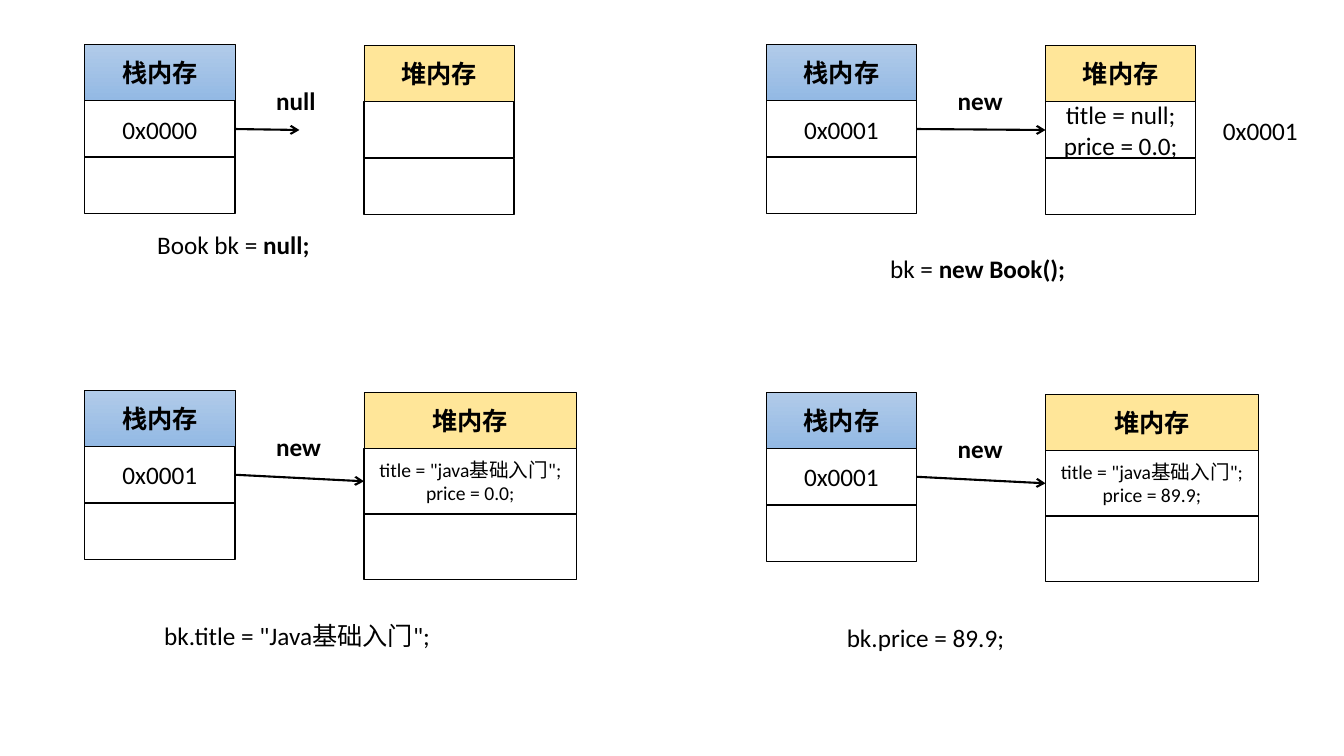
from dataclasses import dataclass

from lxml.etree import SubElement
from pptx import Presentation
from pptx.dml.color import RGBColor
from pptx.enum.shapes import MSO_CONNECTOR as Link, MSO_SHAPE as Preset
from pptx.enum.text import MSO_ANCHOR as Anchor, MSO_AUTO_SIZE as AutoSize, PP_ALIGN as Align
from pptx.oxml.ns import qn
from pptx.util import Pt

PX = 9144  # 100 px to the inch
FONT = "Calibri"
BLACK, WHITE, HEAP_YELLOW = "000000", "FFFFFF", "FFE699"
STACK_BLUES = ("B1CBE9", "93B9E4")
STACK_WIDTH, ROW_HEIGHT = 149, 56
HEAP_OFFSET = 277
LABEL_OFFSET_X, LABEL_OFFSET_Y = 180, 36
LABEL_HEIGHT = 40
NULL_ARROW_LENGTH = 64


@dataclass(frozen=True)
class Span:
    text: str
    bold: bool = False


@dataclass(frozen=True)
class Note:
    left: int
    top: int
    width: int
    spans: tuple[Span, ...]
    wrap: bool = False


@dataclass(frozen=True)
class Panel:
    left: int
    stack_top: int
    heap_top: int
    address: str
    arrow_label: str
    label_width: int = 65
    heap_width: int = STACK_WIDTH
    heap_row: int = ROW_HEIGHT
    fields: tuple[str, ...] = ()
    field_size: int = 18
    points_to_heap: bool = True


PANELS = (
    Panel(84, 44, 45, "0x0000", "null", label_width=59, points_to_heap=False),
    Panel(760, 44, 45, "0x0001", "new", fields=("title = null;", "price = 0.0;")),
    Panel(84, 387, 389, "0x0001", "new", heap_width=211, heap_row=65,
          fields=('title = "java基础入门";', "price = 0.0;"), field_size=14),
    Panel(760, 389, 391, "0x0001", "new", heap_width=211, heap_row=65,
          fields=('title = "java基础入门";', "price = 89.9;"), field_size=14),
)

NOTES = (
    Note(146, 223, 173, (Span("Book bk = "), Span("null;", True))),
    Note(873, 246, 196, (Span("bk = "), Span("new Book();", True))),
    Note(1203, 109, 95, (Span("0x0001"),)),
    Note(153, 611, 287, (Span('bk.title = "Java基础入门";'),), wrap=True),
    Note(830, 612, 178, (Span("bk.price = 89.9;"),)),
)


def rgb(value: str) -> RGBColor:
    return RGBColor.from_string(value)


def add_span(para, span: Span, size: int = 18) -> None:
    run = para.add_run()
    run.text = span.text
    run.font.name = FONT
    run.font.size = Pt(size)
    run.font.bold = span.bold
    run.font.color.rgb = rgb(BLACK)


def add_cell(slide, left: int, top: int, width: int, height: int, fill: str = WHITE,
             lines: tuple[str, ...] = (), size: int = 18):
    box = slide.shapes.add_shape(Preset.RECTANGLE, left * PX, top * PX, width * PX, height * PX)
    box.shadow.inherit = False
    box.fill.solid()
    box.fill.fore_color.rgb = rgb(fill)
    box.line.color.rgb = rgb(BLACK)
    box.line.width = Pt(1)
    frame = box.text_frame
    frame.word_wrap = True
    frame.vertical_anchor = Anchor.MIDDLE
    frame.margin_left = frame.margin_right = 5 * PX
    for index, line in enumerate(lines):
        para = frame.add_paragraph() if index else frame.paragraphs[0]
        para.alignment = Align.CENTER
        add_span(para, Span(line), size)
    return box


def add_header(slide, left: int, top: int, width: int, title: str):
    box = add_cell(slide, left, top, width, ROW_HEIGHT, HEAP_YELLOW, (title,))
    box.line.width = Pt(0.5)
    box.text_frame.paragraphs[0].runs[0].font.bold = True
    return box


def add_column(slide, left: int, top: int, width: int, row: int, title: str,
               lines: tuple[str, ...], size: int = 18):
    """Draw a header over two cells; return the header and the upper cell."""
    header = add_header(slide, left, top, width, title)
    first_top = top + ROW_HEIGHT
    first = add_cell(slide, left, first_top, width, row, lines=lines, size=size)
    add_cell(slide, left, first_top + row, width, row)
    return header, first


def shade_stack_header(header) -> None:
    header.fill.gradient()
    header.fill.gradient_angle = 270
    for stop, shade in zip(header.fill.gradient_stops, STACK_BLUES):
        stop.color.rgb = rgb(shade)


def add_arrow(slide, source, target=None) -> None:
    """Point from source to target, or to nothing when there is no target."""
    start_x = source.left + source.width
    start_y = source.top + source.height // 2
    arrow = slide.shapes.add_connector(
        Link.STRAIGHT, start_x, start_y, start_x + NULL_ARROW_LENGTH * PX, start_y + PX)
    arrow.begin_connect(source, 3)
    if target is not None:
        arrow.end_connect(target, 1)
    arrow.line.color.rgb = rgb(BLACK)
    arrow.line.width = Pt(1.5)
    SubElement(arrow.line._get_or_add_ln(), qn("a:tailEnd"), type="arrow")
    SubElement(arrow._element.spPr, qn("a:effectLst"))


def add_note(slide, note: Note) -> None:
    box = slide.shapes.add_textbox(
        note.left * PX, note.top * PX, note.width * PX, LABEL_HEIGHT * PX)
    frame = box.text_frame
    frame.word_wrap = note.wrap
    frame.auto_size = AutoSize.SHAPE_TO_FIT_TEXT
    for span in note.spans:
        add_span(frame.paragraphs[0], span)


def add_panel(slide, panel: Panel) -> None:
    stack_header, reference = add_column(
        slide, panel.left, panel.stack_top, STACK_WIDTH, ROW_HEIGHT, "栈内存", (panel.address,))
    shade_stack_header(stack_header)
    _, book = add_column(
        slide, panel.left + HEAP_OFFSET, panel.heap_top, panel.heap_width, panel.heap_row,
        "堆内存", panel.fields, panel.field_size)
    add_arrow(slide, reference, book if panel.points_to_heap else None)
    add_note(slide, Note(panel.left + LABEL_OFFSET_X, panel.stack_top + LABEL_OFFSET_Y,
                         panel.label_width, (Span(panel.arrow_label, True),)))


def main() -> None:
    deck = Presentation()
    deck.slide_width, deck.slide_height = 1333 * PX, 750 * PX
    slide = deck.slides.add_slide(deck.slide_layouts[6])
    for panel in PANELS:
        add_panel(slide, panel)
    for note in NOTES:
        add_note(slide, note)
    deck.save("out.pptx")


if __name__ == "__main__":
    main()
